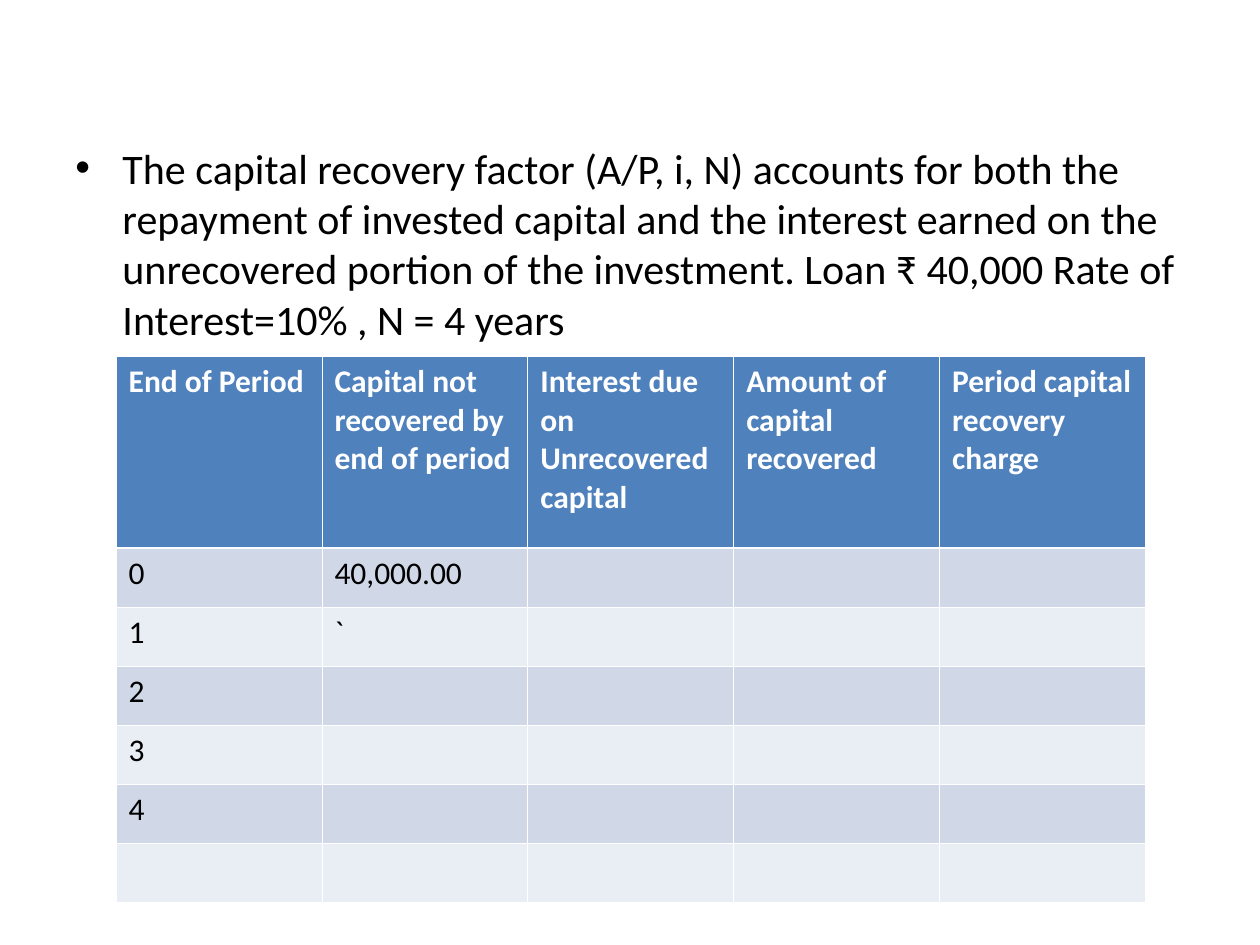
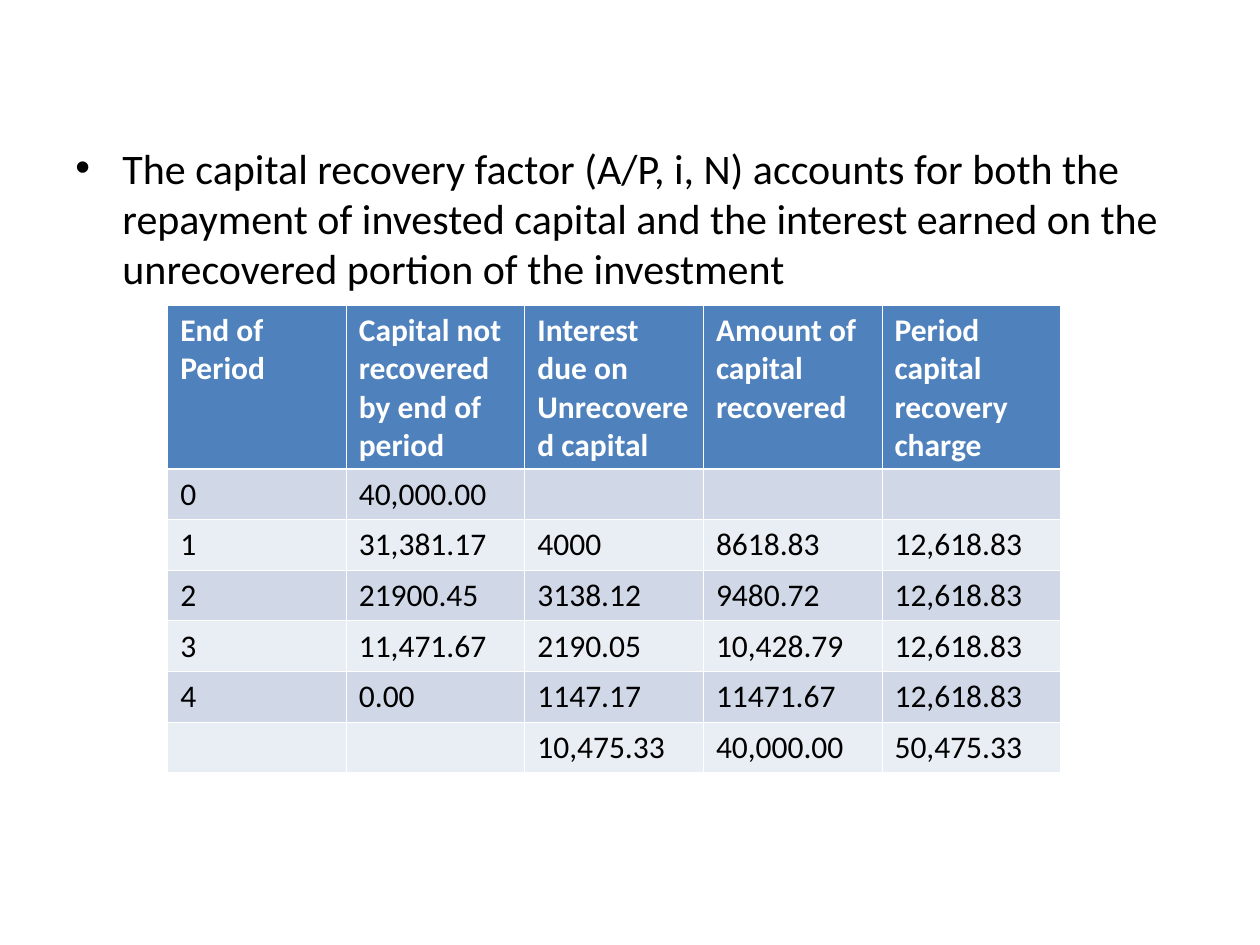
"""Build two slides that show capital recovery on a loan, period by period."""
from lxml import etree
from pptx import Presentation
from pptx import util as u
from pptx.dml.color import RGBColor
from pptx.oxml.ns import qn

HUES = {"ink": "000000", "line": "FFFFFF", "head": "4F81BD",
        "dark": "D0D8E8", "light": "E9EDF4"}
FONT = "Calibri"
HEADS = ["End of Period", "Capital not recovered by end of period",
         "Interest due on Unrecovered capital", "Amount of capital recovered",
         "Period capital recovery charge"]
CLAIM = ("The capital recovery factor (A/P, i, N) accounts for both the "
         "repayment of invested capital and the interest earned on the "
         "unrecovered portion of the investment")
LOAN = ". Loan ₹ 40,000 Rate of Interest=10% , N = 4 years"
CHARGE = "12,618.83"

SLIDES = [
    {"claim": CLAIM + LOAN, "left": 2.34, "top": 7.19, "wide": 4.15,
     "head": 3.86, "row": 1.19,
     "data": [["0", "40,000.00"], ["1", "`"], ["2"], ["3"], ["4"], []]},
    {"claim": CLAIM, "left": 3.38, "top": 6.15, "wide": 3.6,
     "head": 3.3, "row": 1.02,
     "data": [["0", "40,000.00"],
              ["1", "31,381.17", "4000", "8618.83", CHARGE],
              ["2", "21900.45", "3138.12", "9480.72", CHARGE],
              ["3", "11,471.67", "2190.05", "10,428.79", CHARGE],
              ["4", "0.00", "1147.17", "11471.67", CHARGE],
              ["", "", "10,475.33", "40,000.00", "50,475.33"]]},
]


def write(frame, words, size=18, hue="ink", bold=False, bullet=False):
    frame.word_wrap = True
    para = frame.paragraphs[0]
    run = para.add_run()
    run.text = words
    run.font.name, run.font.size, run.font.bold = FONT, u.Pt(size), bold
    run.font.color.rgb = RGBColor.from_string(HUES[hue])
    if bullet:
        para.space_before = u.Pt(6)
        props = para._p.get_or_add_pPr()
        props.set("marL", str(u.Cm(0.95)))
        props.set("indent", str(-u.Cm(0.95)))
        etree.SubElement(props, qn("a:buFont"), typeface="Arial")
        etree.SubElement(props, qn("a:buChar"), char="•")


def edge(cell, side, width):
    line = etree.SubElement(cell._tc.get_or_add_tcPr(), qn("a:ln" + side),
                            w=str(u.Pt(width)))
    fill = etree.SubElement(line, qn("a:solidFill"))
    etree.SubElement(fill, qn("a:srgbClr"), val=HUES["line"])


deck = Presentation()
deck.slide_width, deck.slide_height = u.Cm(25.4), u.Cm(19.05)

for item in SLIDES:
    slide = deck.slides.add_slide(deck.slide_layouts[6])
    box = slide.shapes.add_textbox(u.Cm(1.27), u.Cm(2.74), u.Cm(22.86), u.Cm(14.27))
    write(box.text_frame, item["claim"], size=24, bullet=True)

    rows = [HEADS] + item["data"]
    high = item["head"] + item["row"] * len(item["data"])
    grid = slide.shapes.add_table(
        len(rows), len(HEADS), u.Cm(item["left"]), u.Cm(item["top"]),
        u.Cm(item["wide"] * len(HEADS)), u.Cm(high)).table
    for col in grid.columns:
        col.width = u.Cm(item["wide"])

    for r, row in enumerate(rows):
        top = r == 0
        grid.rows[r].height = u.Cm(item["head"] if top else item["row"])
        shade = "head" if top else "dark" if r % 2 else "light"
        for c in range(len(HEADS)):
            cell = grid.cell(r, c)
            for side in "LRTB":
                thick = (r, side) in [(0, "B"), (1, "T")]
                edge(cell, side, 1.47 if thick else 0.45)
            cell.fill.solid()
            cell.fill.fore_color.rgb = RGBColor.from_string(HUES[shade])
            if c < len(row) and row[c]:
                write(cell.text_frame, row[c], hue="line" if top else "ink", bold=top)

deck.save("out.pptx")
